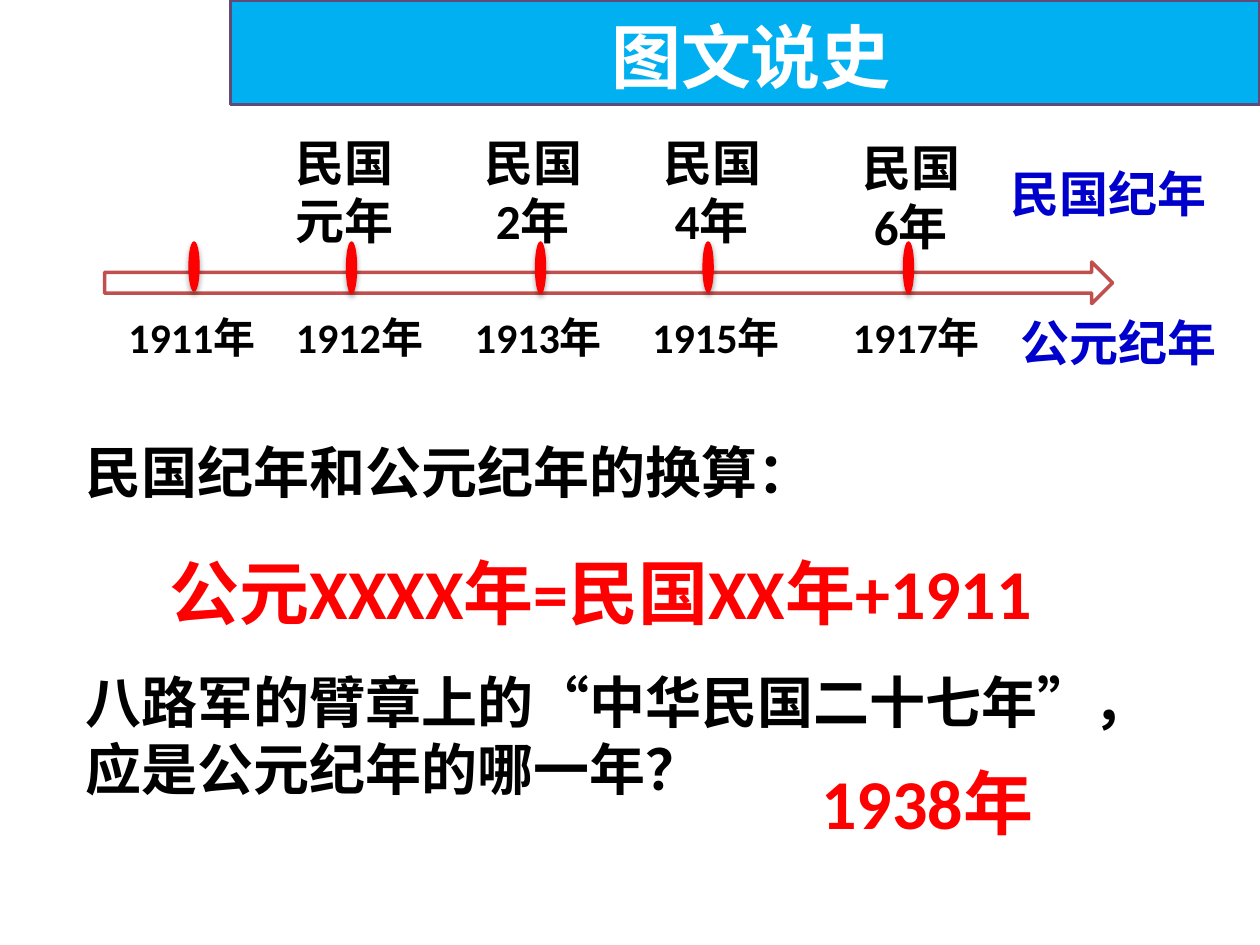
from dataclasses import dataclass

from lxml import etree
from pptx import Presentation
from pptx.dml.color import RGBColor
from pptx.enum.shapes import MSO_SHAPE
from pptx.enum.text import MSO_ANCHOR, MSO_AUTO_SIZE, PP_ALIGN
from pptx.oxml.ns import qn
from pptx.util import Inches, Pt

RECT, OVAL, ARROW = MSO_SHAPE.RECTANGLE, MSO_SHAPE.OVAL, MSO_SHAPE.RIGHT_ARROW
TOP, LEFT = MSO_ANCHOR.TOP, PP_ALIGN.LEFT
FIT = MSO_AUTO_SIZE.SHAPE_TO_FIT_TEXT
LATIN_FONT, CJK_FONT = "Calibri", "Noto Sans CJK SC"
COLORS = {
    "banner": "00B0F0", "banner_line": "5F4A78", "arrow_line": "C0504D",
    "white": "FFFFFF", "black": "000000", "red": "FF0000", "blue": "0000CC",
}


@dataclass
class Label:
    box: tuple[float, float, float, float]
    lines: list[str]
    size: int
    color: str = "black"


@dataclass
class Year:
    """One mark on the timeline, with its year in both calendars."""
    western: str
    label_left: float
    mark_left: float
    mark_height: float = 0.41
    republic: tuple[str, ...] = ()
    republic_left: float = 0
    republic_top: float = 1


YEARS = [
    Year("1911年", 0.92, 1.5, 0.39),
    Year("1912年", 2.25, 2.75, republic=("民国元年",), republic_left=2.25),
    Year("1913年", 3.67, 4.25, republic=("民国", " 2年"), republic_left=3.75),
    Year("1915年", 5.08, 5.58, 0.4, ("民国", " 4年"), 5.17),
    Year("1917年", 6.67, 7.17, 0.41, ("民国", " 6年"), 6.75, 1.04),
]

LABELS = [
    Label((7.92, 1.25, 1.92, 0.57), ["民国纪年"], 28, "blue"),
    Label((8, 2.43, 1.92, 0.57), ["公元纪年"], 28, "blue"),
    Label((0.58, 3.42, 6.08, 0.64), ["民国纪年和公元纪年的换算："], 32),
    Label((1.25, 4.31, 8, 0.77), ["公元XXXX年=民国XX年+1911"], 40, "red"),
    Label((0.58, 5.25, 8.67, 1.18),
          ["八路军的臂章上的“中华民国二十七年”，应是公元纪年的哪一年？"], 32),
    Label((6.42, 5.98, 2.25, 0.77), ["1938年"], 40, "red"),
]


def rgb(name: str) -> RGBColor:
    return RGBColor.from_string(COLORS[name])


def add_block(slide, kind, box: tuple, fill: str, line: str, width: float):
    sp = slide.shapes.add_shape(kind, *map(Inches, box))
    sp.shadow.inherit = False
    sp.fill.solid()
    sp.fill.fore_color.rgb = rgb(fill)
    sp.line.color.rgb = rgb(line)
    sp.line.width = Pt(width)
    return sp


def add_soft_shadow(sp) -> None:
    effects = sp._element.spPr.find(qn("a:effectLst"))
    shadow = etree.SubElement(effects, qn("a:outerShdw"), blurRad=str(Pt(3.1)),
                              dist=str(Pt(1.8)), dir="5400000", rotWithShape="0")
    color = etree.SubElement(shadow, qn("a:srgbClr"), val=COLORS["black"])
    etree.SubElement(color, qn("a:alpha"), val="35000")


def write_text(sp, label: Label, latin: str = LATIN_FONT) -> None:
    tf = sp.text_frame
    tf.word_wrap = True
    tf.auto_size = FIT
    tf.vertical_anchor = TOP
    for i, line in enumerate(label.lines):
        p = tf.add_paragraph() if i else tf.paragraphs[0]
        p.alignment = LEFT
        r = p.add_run()
        r.text = line
        r.font.size = Pt(label.size)
        r.font.bold = True
        r.font.name = latin
        r.font.color.rgb = rgb(label.color)
        etree.SubElement(r.font._element, qn("a:ea"), typeface=CJK_FONT)


def add_label(slide, label: Label) -> None:
    write_text(slide.shapes.add_textbox(*map(Inches, label.box)), label)


def add_title(slide) -> None:
    banner = add_block(slide, RECT, (1.83, 0, 8.17, 0.83), "banner", "banner_line", 2)
    label = Label((4.75, 0.06, 2.92, 0.77), ["图文说史"], 40, "white")
    title = slide.shapes.title
    title.left, title.top, title.width, title.height = map(Inches, label.box)
    write_text(title, label, CJK_FONT)
    title._element.addprevious(banner._element)


def add_year(slide, year: Year) -> None:
    mark = add_block(slide, OVAL, (year.mark_left, 1.92, 0.08, year.mark_height),
                     "red", "red", 0.75)
    add_soft_shadow(mark)
    add_label(slide, Label((year.label_left, 2.42, 1.42, 0.5), [year.western], 24))
    if year.republic:
        box = (year.republic_left, year.republic_top, 1, 1.04)
        add_label(slide, Label(box, list(year.republic), 28))


def main() -> None:
    prs = Presentation()
    prs.slide_width, prs.slide_height = Inches(10), Inches(7.5)
    slide = prs.slides.add_slide(prs.slide_layouts[5])
    add_title(slide)
    add_block(slide, ARROW, (0.83, 2.08, 8, 0.33), "white", "arrow_line", 2)
    for year in YEARS:
        add_year(slide, year)
    for label in LABELS:
        add_label(slide, label)
    prs.save("out.pptx")


if __name__ == "__main__":
    main()
